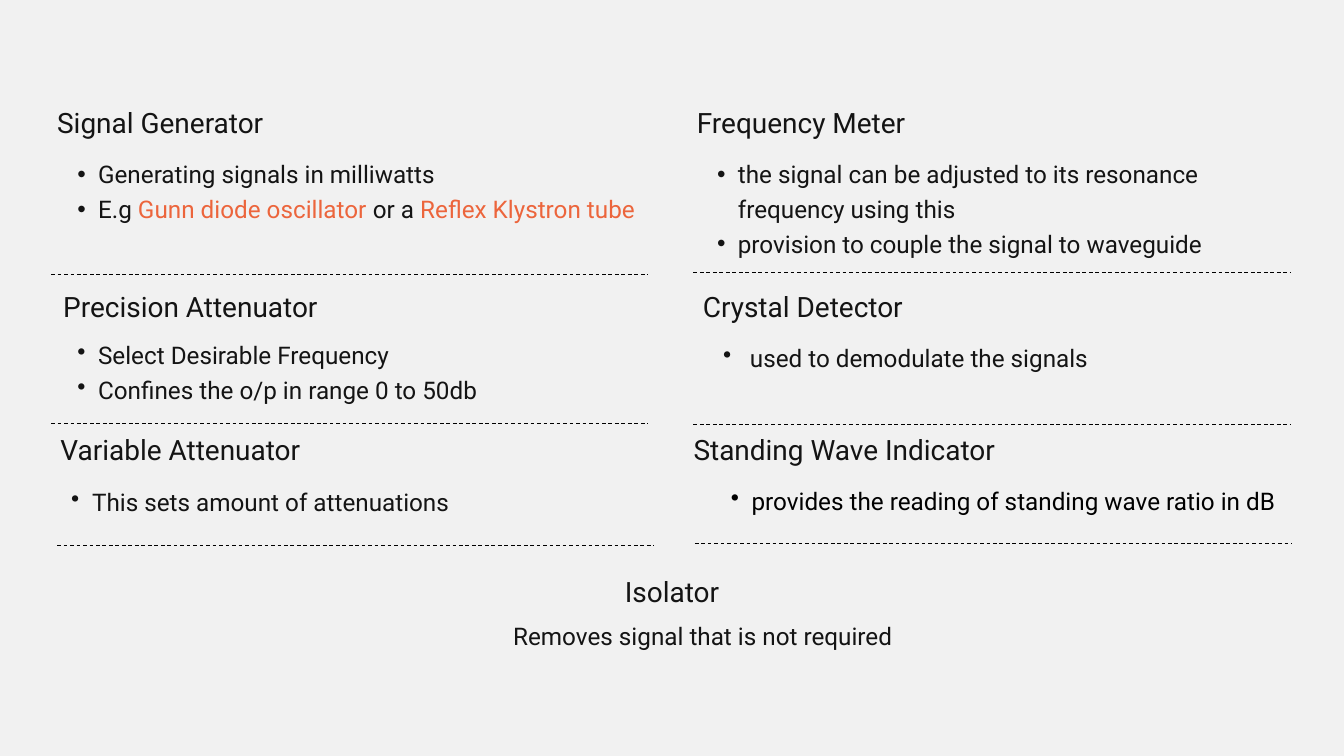
from lxml import etree
from pptx import Presentation
from pptx import util as u
from pptx.dml.color import RGBColor
from pptx.enum import dml, shapes, text
from pptx.oxml.ns import qn

INK, BLACK, ACCENT, PAPER = "141414", "000000", "EC653C", "F1F1F1"
LEFT, CENTER = text.PP_ALIGN.LEFT, text.PP_ALIGN.CENTER
COLUMN_WIDTH = 8.78
RULE_LENGTH = 8.88
HEADING_HEIGHT = 0.55
LINE_HEIGHT = 0.51


def color(value):
    return RGBColor.from_string(value)


class Board:
    """Holds the text style, the current slide and its unused placeholders."""

    font = "Roboto"
    heading_size, heading_spacing = 30, 39
    body_size, body_spacing = 26, 37.2
    bullet_margin, bullet_hang = 0.61, -0.31

    def __init__(self, presentation):
        comparison_layout = presentation.slide_layouts[4]
        self.slide = presentation.slides.add_slide(comparison_layout)
        self.slide.background.fill.solid()
        self.slide.background.fill.fore_color.rgb = color(PAPER)
        by_index = {holder.placeholder_format.idx: holder
                    for holder in self.slide.placeholders}
        self.heading_holders = [by_index[index] for index in (0, 1, 3)]
        self.list_holders = [by_index[index] for index in (2, 4)]

    def frame(self, holders, left, top, width, height):
        """Place the next free placeholder, or a text box once none is left."""
        box = [u.Inches(value) for value in (left, top, width, height)]
        if holders:
            shape = holders.pop(0)
            shape.left, shape.top, shape.width, shape.height = box
        else:
            shape = self.slide.shapes.add_textbox(*box)
        frame = shape.text_frame
        frame.word_wrap = True
        frame.auto_size = text.MSO_AUTO_SIZE.NONE
        frame.vertical_anchor = text.MSO_ANCHOR.TOP
        frame.margin_left = frame.margin_right = 0
        frame.margin_top = frame.margin_bottom = 0
        return frame

    def add_runs(self, paragraph, runs, size, spacing, align):
        paragraph.alignment = align
        paragraph.line_spacing = u.Pt(spacing)
        paragraph.space_before = paragraph.space_after = u.Pt(0)
        for words, ink in runs:
            run = paragraph.add_run()
            run.text = words
            run.font.name = self.font
            run.font.size = u.Pt(size)
            run.font.bold = False
            run.font.color.rgb = color(ink)

    def indent(self, paragraph, margin, hang, bullet):
        properties = paragraph._p.get_or_add_pPr()
        properties.set("marL", str(u.Inches(margin)))
        properties.set("indent", str(u.Inches(hang)))
        if bullet:
            mark = etree.SubElement(properties, qn("a:buChar"))
            mark.set("char", bullet)
        else:
            etree.SubElement(properties, qn("a:buNone"))

    def heading(self, words, left, top, align=LEFT):
        frame = self.frame(self.heading_holders, left, top,
                           COLUMN_WIDTH, HEADING_HEIGHT)
        paragraph = frame.paragraphs[0]
        self.add_runs(paragraph, [(words, INK)], self.heading_size,
                      self.heading_spacing, align)
        self.indent(paragraph, 0, 0, None)

    def bullets(self, items, left, top, lines, align=LEFT,
                spacing=body_spacing):
        frame = self.frame(self.list_holders, left, top,
                           COLUMN_WIDTH, lines * LINE_HEIGHT)
        for number, runs in enumerate(items):
            paragraph = frame.add_paragraph() if number else frame.paragraphs[0]
            paragraph.level = 1
            self.add_runs(paragraph, runs, self.body_size, spacing, align)
            self.indent(paragraph, self.bullet_margin, self.bullet_hang, "•")

    def caption(self, words, left, top):
        frame = self.frame([], left, top, COLUMN_WIDTH, LINE_HEIGHT)
        self.add_runs(frame.paragraphs[0], [(words, INK)], self.body_size,
                      self.body_spacing, CENTER)

    def dashed_rule(self, left, top):
        rule = self.slide.shapes.add_connector(
            shapes.MSO_CONNECTOR.STRAIGHT, u.Inches(left), u.Inches(top),
            u.Inches(left + RULE_LENGTH), u.Inches(top))
        rule.line.color.rgb = color(BLACK)
        rule.line.width = u.Pt(1)
        rule.line.dash_style = dml.MSO_LINE.DASH
        etree.SubElement(rule._element.spPr, qn("a:effectLst"))


def main():
    presentation = Presentation()
    presentation.slide_width = u.Inches(20)
    presentation.slide_height = u.Inches(11.25)
    board = Board(presentation)

    for words, left, top in (
            ("Signal Generator", 0.85, 1.53),
            ("Frequency Meter", 10.37, 1.53),
            ("Precision Attenuator", 0.94, 4.27),
            ("Crystal Detector", 10.46, 4.27),
            ("Variable Attenuator", 0.9, 6.39),
            ("Standing Wave Indicator", 10.32, 6.39)):
        board.heading(words, left, top)

    board.bullets([
        [("Generating signals in milliwatts", INK)],
        [("E.g ", INK), ("Gunn diode oscillator", ACCENT),
         (" or a ", INK), ("Reflex Klystron tube", ACCENT)],
    ], 0.85, 2.29, lines=3)
    board.bullets([
        [("the signal can be adjusted to its resonance "
          "frequency using this", INK)],
        [("provision to couple the signal to waveguide", INK)],
    ], 10.37, 2.29, lines=3)
    board.bullets([
        [("Select Desirable Frequency", INK)],
        [("Confines the o/p in range 0 to 50db", INK)],
    ], 0.85, 4.98, lines=2)
    board.bullets([[(" used to demodulate the signals", INK)]],
                  10.46, 5.02, lines=1)
    board.bullets([[("This sets amount of attenuations", INK)]],
                  0.76, 7.16, lines=1)
    board.bullets([[("provides the reading of standing wave ratio in dB",
                     BLACK)]],
                  10.39, 7.2, lines=1, align=CENTER, spacing=33.8)

    board.heading("Isolator", 5.61, 8.51, CENTER)
    board.caption("Removes signal that is not required", 6.07, 9.16)

    for left, top in ((0.76, 4.08), (0.76, 6.3), (0.85, 8.12),
                      (10.32, 4.06), (10.32, 6.31), (10.34, 8.09)):
        board.dashed_rule(left, top)

    presentation.save("out.pptx")


if __name__ == "__main__":
    main()
